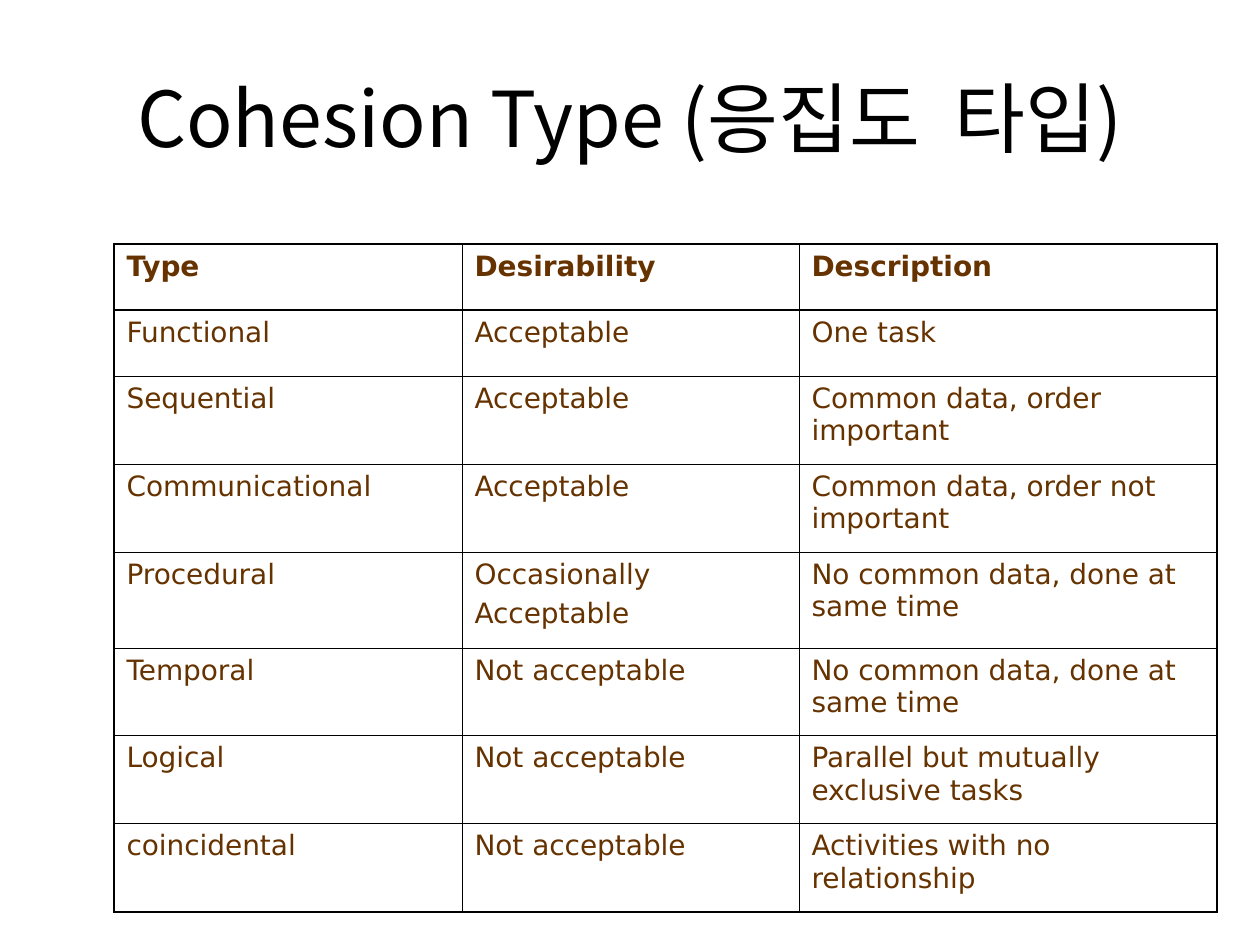
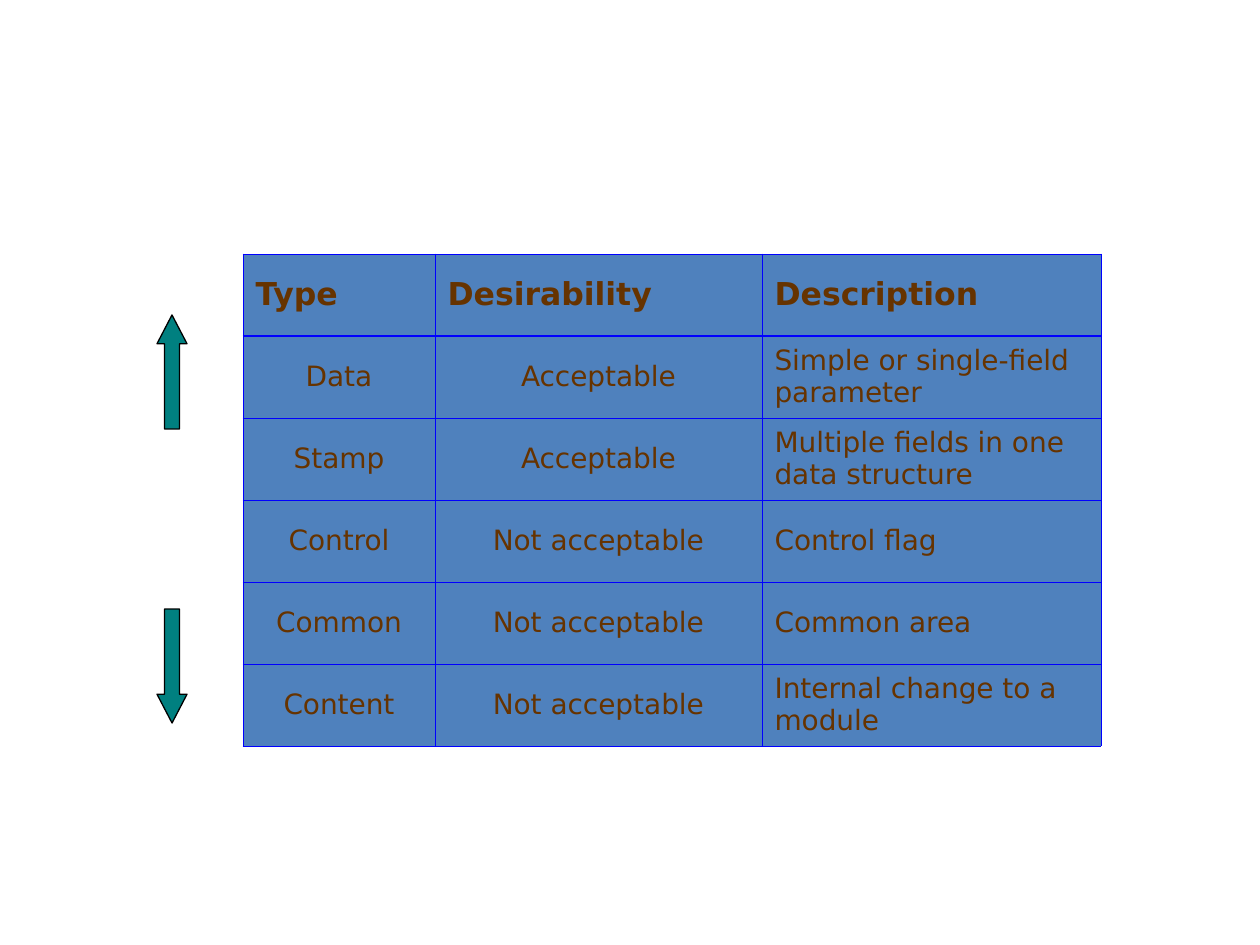
import lxml.etree
import pptx
import pptx.dml.color
import pptx.enum.shapes
import pptx.enum.text
import pptx.oxml.ns
import pptx.util

PX = 914400 / 126
COLORS = {
    "black": "000000",
    "brown": "663300",
    "blue": "0000FF",
    "steel": "4F81BD",
    "teal": "008080",
}
TITLE_FONT = "Noto Sans CJK KR"
BODY_FONT = "DejaVu Sans"
THIN, THICK = 0.45, 1.08
ALIGN = pptx.enum.text.PP_ALIGN
ANCHOR = pptx.enum.text.MSO_ANCHOR

HEADINGS = ["Type", "Desirability", "Description"]
COHESION_ROWS = [
    HEADINGS,
    ["Functional", "Acceptable", "One task"],
    ["Sequential", "Acceptable", "Common data, order important"],
    ["Communicational", "Acceptable", "Common data, order not important"],
    ["Procedural", "Occasionally\nAcceptable", "No common data, done at same time"],
    ["Temporal", "Not acceptable", "No common data, done at same time"],
    ["Logical", "Not acceptable", "Parallel but mutually exclusive tasks"],
    ["coincidental", "Not acceptable", "Activities with no relationship"],
]
COUPLING_ROWS = [
    HEADINGS,
    ["Data", "Acceptable", "Simple or single-field parameter"],
    ["Stamp", "Acceptable", "Multiple fields in one data structure"],
    ["Control", "Not acceptable", "Control flag"],
    ["Common", "Not acceptable", "Common area"],
    ["Content", "Not acceptable", "Internal change to a module"],
]


def emu(*lengths):
    return [pptx.util.Emu(round(length * PX)) for length in lengths]


def rgb(name):
    return pptx.dml.color.RGBColor.from_string(COLORS[name])


def add_xml(parent, tag, **attributes):
    return lxml.etree.SubElement(parent, pptx.oxml.ns.qn(tag), attributes)


class SlideBuilder:
    def __init__(self, deck):
        self.deck = deck
        self.page = None

    def add_page(self, layout):
        self.page = self.deck.slides.add_slide(self.deck.slide_layouts[layout])

    def style(self, para, font_name, size, color, align, bold=False):
        para.alignment = align
        para.font.name = font_name
        para.font.size = pptx.util.Pt(size)
        para.font.bold = bold
        para.font.color.rgb = rgb(color)

    def title(self, text, left, top, width, height):
        box = self.page.shapes.title
        box.left, box.top, box.width, box.height = emu(left, top, width, height)
        box.text_frame.text = text
        box.text_frame.vertical_anchor = ANCHOR.MIDDLE
        para = box.text_frame.paragraphs[0]
        self.style(para, TITLE_FONT, 44, "black", ALIGN.CENTER)
        add_xml(para.font._element, "a:ea", typeface=TITLE_FONT)

    def cell_borders(self, cell, color, widths):
        properties = cell._tc.get_or_add_tcPr()
        for side, width in zip("LRTB", widths):
            line = add_xml(properties, f"a:ln{side}", w=str(pptx.util.Pt(width)))
            fill = add_xml(line, "a:solidFill")
            add_xml(fill, "a:srgbClr", val=COLORS[color])

    def cell_fill(self, cell, color):
        if color is None:
            cell.fill.background()
            return
        cell.fill.solid()
        cell.fill.fore_color.rgb = rgb(color)
        shade = cell._tc.tcPr.find(".//" + pptx.oxml.ns.qn("a:srgbClr"))
        add_xml(shade, "a:alpha", val="50000")

    def table(self, rows, left, top, widths, heights, line, framed=False, fill=None,
              header_size=16, anchor=ANCHOR.TOP, centered=()):
        frame = self.page.shapes.add_table(
            len(rows), len(widths), *emu(left, top, sum(widths), sum(heights)))
        table = frame.table
        table.first_row = table.horz_banding = False
        for column, width in zip(table.columns, emu(*widths)):
            column.width = width
        for row, height in zip(table.rows, emu(*heights)):
            row.height = height
        last_row, last_column = len(rows) - 1, len(widths) - 1
        for r, texts in enumerate(rows):
            for c, text in enumerate(texts):
                cell = table.cell(r, c)
                heavy = (
                    framed and c == 0,
                    framed and c == last_column,
                    r == 1 or framed and r == 0,
                    r == 0 or framed and r == last_row,
                )
                self.cell_borders(cell, line, [THICK if side else THIN for side in heavy])
                self.cell_fill(cell, fill)
                cell.text = text
                cell.vertical_anchor = anchor
                size = header_size if r == 0 else 16
                align = ALIGN.CENTER if r and c in centered else ALIGN.LEFT
                for para in cell.text_frame.paragraphs:
                    self.style(para, BODY_FONT, size, "brown", align, r == 0)
                    para.space_before = pptx.util.Pt(size / 4)

    def arrow(self, left, top, width, height, rotation=0):
        arrow = self.page.shapes.add_shape(
            pptx.enum.shapes.MSO_SHAPE.UP_ARROW, *emu(left, top, width, height))
        arrow.adjustments[0] = 0.5
        arrow.adjustments[1] = 0.96
        arrow.rotation = rotation
        arrow.shadow.inherit = False
        arrow.fill.solid()
        arrow.fill.fore_color.rgb = rgb("teal")
        arrow.line.color.rgb = rgb("black")
        arrow.line.width = pptx.util.Pt(0.75)


def main():
    deck = pptx.Presentation()
    deck.slide_width, deck.slide_height = emu(1260, 945)
    builder = SlideBuilder(deck)

    builder.add_page(5)
    builder.title("Cohesion Type (응집도  타입)", 63, 38, 1134, 158)
    builder.table(COHESION_ROWS, 114, 244, [348, 337, 418],
                  [66, 66, 88, 88, 96, 88, 88, 88], "black", framed=True)

    builder.add_page(6)
    builder.table(COUPLING_ROWS, 243, 254, [192, 327, 339],
                  [82] * len(COUPLING_ROWS), "blue", fill="steel",
                  header_size=18, anchor=ANCHOR.MIDDLE, centered=(0, 1))
    for top, rotation in ((609, 180), (315, 0)):
        builder.arrow(157, top, 30, 114, rotation)

    deck.save("out.pptx")


if __name__ == "__main__":
    main()
